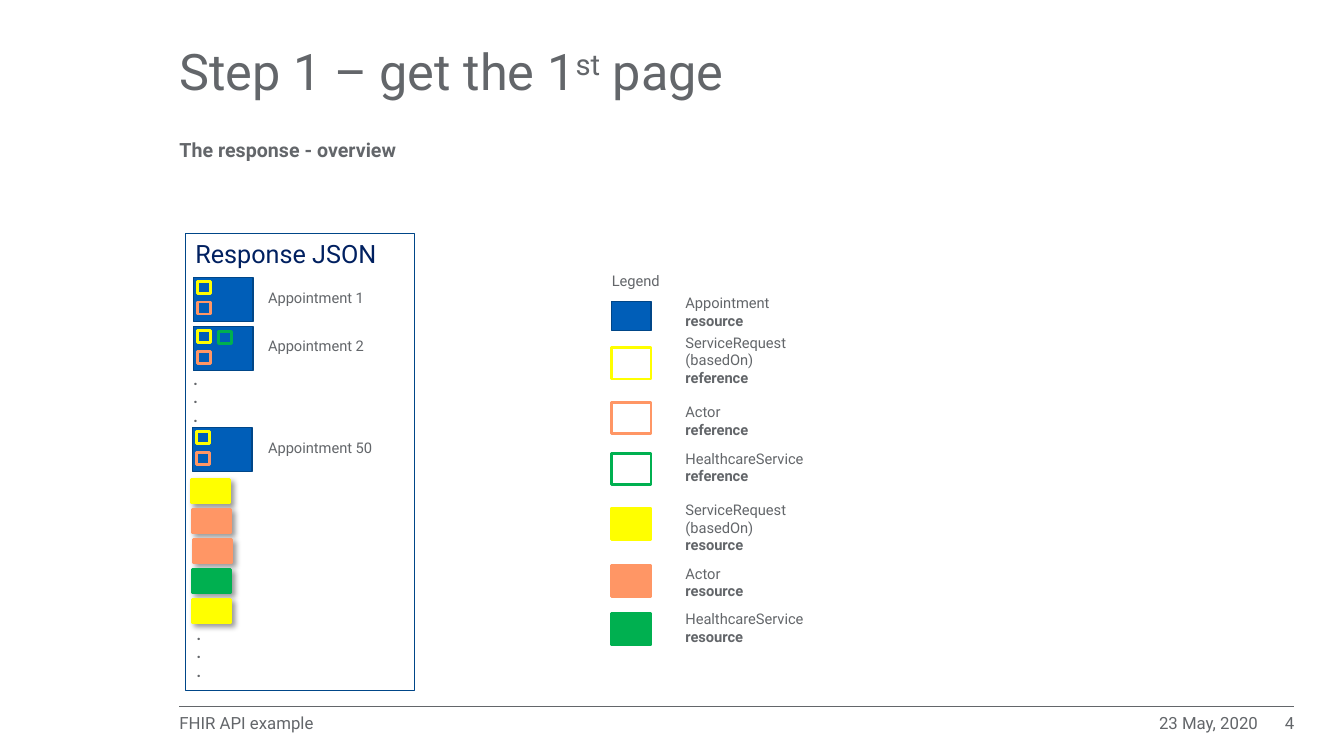
from lxml import etree
from pptx import Presentation
from pptx.dml.color import RGBColor
from pptx.enum.shapes import MSO_CONNECTOR, MSO_SHAPE
from pptx.enum.text import MSO_ANCHOR as ANCHOR, PP_ALIGN as ALIGN
from pptx.oxml import parse_xml
from pptx.oxml.ns import nsdecls, qn
from pptx.util import Pt

GREY, NAVY, BLUE, EDGE = "63666A", "002060", "005EB8", "004688"
YELLOW, ORANGE, GREEN = "FFFF00", "FF9665", "00B050"
LEFT = 128.2
SHADOW = (
    f'<a:effectLst {nsdecls("a")}><a:outerShdw blurRad="50800" dist="38100" '
    'dir="2700000" algn="tl" rotWithShape="0"><a:srgbClr val="000000">'
    '<a:alpha val="40000"/></a:srgbClr></a:outerShdw></a:effectLst>'
)


def rgb(value):
    return RGBColor.from_string(value)


def box(shapes, x, y, w, h, fill, line, weight=2):
    sp = shapes.add_shape(MSO_SHAPE.RECTANGLE, Pt(x), Pt(y), Pt(w), Pt(h))
    sp.shadow.inherit = False
    if fill:
        sp.fill.solid()
        sp.fill.fore_color.rgb = rgb(fill)
    else:
        sp.fill.background()
    sp.line.color.rgb = rgb(line)
    sp.line.width = Pt(weight)
    return sp


prs = Presentation()
prs.slide_width, prs.slide_height = Pt(960), Pt(540)
s = prs.slides.add_slide(prs.slide_layouts[6])

rule = s.shapes.add_connector(MSO_CONNECTOR.STRAIGHT, Pt(LEFT), Pt(504.7), Pt(924.5), Pt(504.7))
rule.line.color.rgb = rgb(GREY)
rule.line.width = Pt(0.25)
etree.SubElement(rule._element.spPr, qn("a:effectLst"))

panel = box(s.shapes, 132.5, 167, 163.4, 326.2, None, EDGE, 0.85)
tf = panel.text_frame
tf.word_wrap = True
tf.vertical_anchor = ANCHOR.TOP
p = tf.paragraphs[0]
p.alignment = ALIGN.LEFT
r = p.add_run()
r.text = "Response JSON"
r.font.name, r.font.size = "Roboto", Pt(18)
r.font.color.rgb = rgb(NAVY)

appointments = [
    (138.2, 198, 206.6, "Appointment 1"),
    (138.2, 233.3, 240.5, "Appointment 2"),
    (137.5, 305.3, 313.2, "Appointment 50"),
]
for x, y, label_y, name in appointments:
    card = s.shapes.add_group_shape().shapes
    box(card, x, y, 42.5, 31.7, BLUE, EDGE, 0.85)
    for dy, color in [(2.9, YELLOW), (17.7, ORANGE)]:
        box(card, x + 2.9, y + dy, 9.4, 8.6, None, color)
box(s.shapes, 156.2, 236.9, 9.4, 8.6, None, GREEN)

stack = [(136.8, YELLOW), (137.5, ORANGE), (138.2, ORANGE), (137.5, GREEN), (137.5, YELLOW)]
for i, (x, color) in enumerate(stack):
    sp = box(s.shapes, x, 342.8 + 21.4 * i, 27.4, 16.6, color, color)
    spPr = sp._element.spPr
    spPr.replace(spPr.find(qn("a:effectLst")), parse_xml(SHADOW))

legend = [
    (215.3, 210.2, BLUE, EDGE, "Appointment", "resource"),
    (248.4, 238.3, None, YELLOW, "ServiceRequest (basedOn)", "reference"),
    (287.3, 288, None, ORANGE, "Actor", "reference"),
    (324, 321.1, None, GREEN, "HealthcareService", "reference"),
    (362.9, 357.8, YELLOW, YELLOW, "ServiceRequest (basedOn)", "resource"),
    (403.9, 403.2, ORANGE, ORANGE, "Actor", "resource"),
    (438.5, 435.6, GREEN, GREEN, "HealthcareService", "resource"),
]
for y, label_y, fill, line, name, kind in legend:
    h, weight = (20.9, 0.85) if fill == BLUE else (22.3, 2)
    box(s.shapes, 437, y, 28.1, h, fill, line, weight)

TOP, MID, LOW = ANCHOR.TOP, ANCHOR.MIDDLE, ANCHOR.BOTTOM
DOTS = [[(".", True)]] * 3
texts = [
    (LEFT, 17.3, 708.5, 72, 36, 0.9, MID, ALIGN.LEFT,
     [[("Step 1 – get the 1", False), ("st", False), (" page", False)]]),
    (LEFT, 89.3, 709.2, 26.6, 14, 0.9, LOW, ALIGN.LEFT, [[("The response - overview", True)]]),
    (LEFT, 509.8, 211.7, 14.4, 12, 0.99, TOP, ALIGN.LEFT, [[("FHIR API example", False)]]),
    (751, 509.8, 147.6, 14.4, 12, 0.99, TOP, ALIGN.RIGHT, [[("23 May, 2020", False)]]),
    (898.6, 509.8, 25.9, 14.4, 12, 0.99, TOP, ALIGN.RIGHT, [[("4", False)]]),
    (138.2, 264.2, 42.5, 40.3, 11, 1.0, TOP, ALIGN.LEFT, DOTS),
    (140.4, 446.4, 42.5, 40.3, 11, 1.0, TOP, ALIGN.LEFT, DOTS),
    (437, 194.4, 75.6, 13, 10.5, 1.0, TOP, ALIGN.LEFT, [[("Legend", False)]]),
]
for x, y, label_y, name in appointments:
    texts.append((191.5, label_y, 75.6, 13, 10.5, 1.0, TOP, ALIGN.LEFT, [[(name, False)]]))
for y, label_y, fill, line, name, kind in legend:
    w = 88.6 if name == "HealthcareService" else 75.6
    h = 38.2 if "(" in name else 25.2
    texts.append((489.6, label_y, w, h, 10.5, 1.0, TOP, ALIGN.LEFT,
                  [[(name, False), ("\n", False), (kind, True)]]))

for x, y, w, h, size, spacing, anchor, align, paragraphs in texts:
    tf = s.shapes.add_textbox(Pt(x), Pt(y), Pt(w), Pt(h)).text_frame
    tf.word_wrap = True
    tf.vertical_anchor = anchor
    tf.margin_left = tf.margin_right = tf.margin_top = tf.margin_bottom = 0
    for i, runs in enumerate(paragraphs):
        p = tf.add_paragraph() if i else tf.paragraphs[0]
        p.alignment = align
        p.line_spacing = spacing
        for text, bold in runs:
            if text == "\n":
                p.add_line_break()
                continue
            r = p.add_run()
            r.text = text
            r.font.name, r.font.size, r.font.bold = "Roboto", Pt(size), bold
            r.font.color.rgb = rgb(GREY)
            if text == "st":
                r.font._element.set("baseline", "30000")

prs.save("out.pptx")
